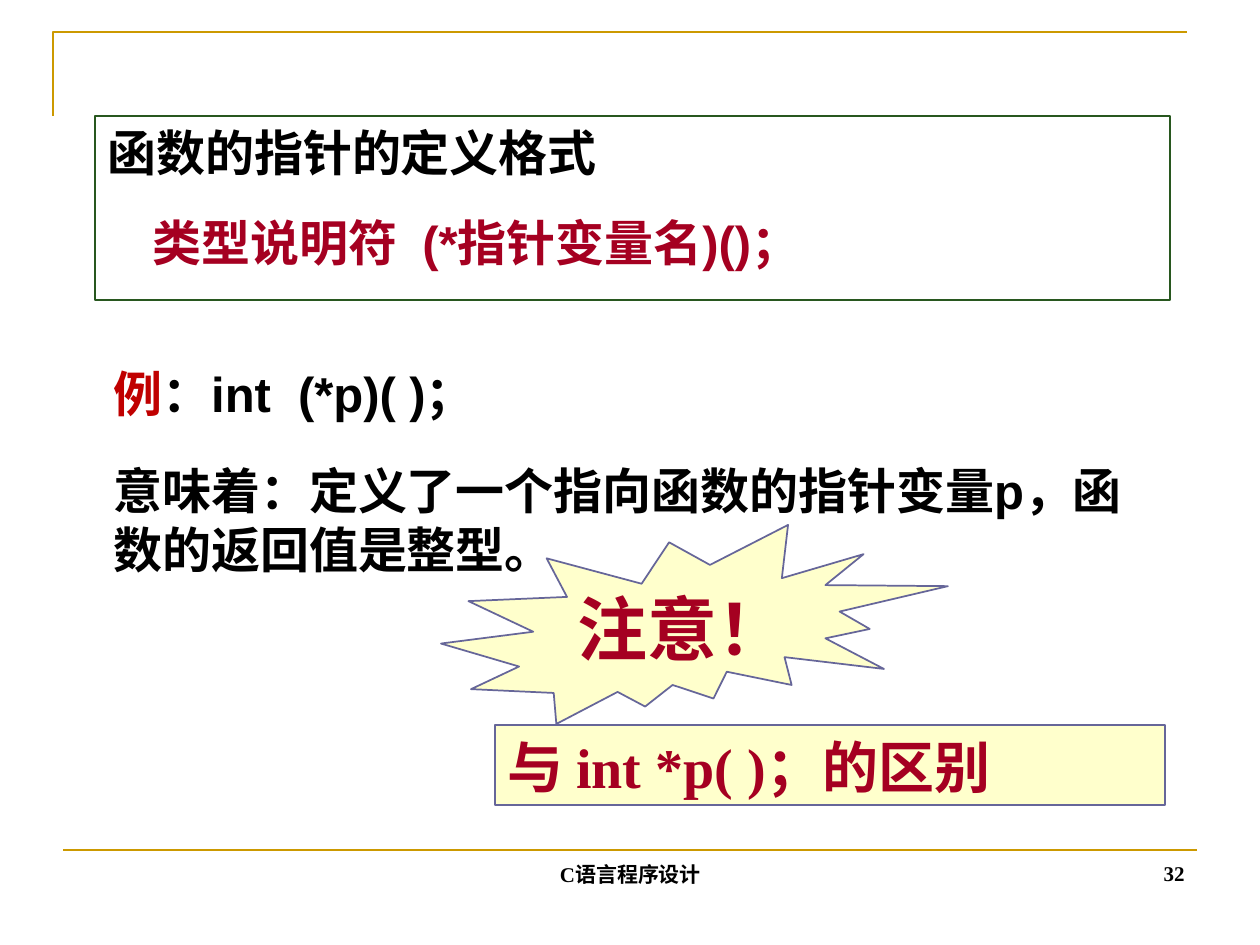
from lxml import etree
from pptx import Presentation
from pptx.dml.color import RGBColor
from pptx.enum.shapes import MSO_CONNECTOR, MSO_SHAPE
from pptx.enum.text import MSO_ANCHOR as ANCHOR, PP_ALIGN as ALIGN
from pptx.oxml.ns import qn
from pptx.util import Emu, Pt

SCALE = 914400 / 126
COLORS = {"gold": "CC9900", "green": "28571F", "slate": "666699", "cream": "FFFFCC",
          "black": "000000", "crimson": "A50021", "red": "C00000"}
SANS, CJK, SERIF = "Arial", "Noto Sans CJK SC", "Times New Roman"


def px(*lengths):
    return [Emu(round(length * SCALE)) for length in lengths]


def write(paragraph, *runs):
    """Add bold runs, each given as (text, size, font, colour)."""
    for text, size, font, color in runs:
        run = paragraph.add_run()
        run.text = text
        run.font.size, run.font.bold, run.font.name = Pt(size), True, font
        run.font.color.rgb = RGBColor.from_string(COLORS[color])
        east_asian = etree.SubElement(run._r.get_or_add_rPr(), qn("a:ea"))
        east_asian.set("typeface", CJK)


prs = Presentation()
prs.slide_width, prs.slide_height = px(1260, 945)
slide = prs.slides.add_slide(prs.slide_layouts[6])
shapes = slide.shapes

# Frame lines
corner_path = shapes.build_freeform(53, 116, scale=SCALE)
corner_path.add_line_segments([(53, 32), (1187, 32)], close=False)
corner = corner_path.convert_to_shape()
corner.shadow.inherit = False
corner.fill.background()
footer_rule = shapes.add_connector(MSO_CONNECTOR.STRAIGHT, *px(63, 850, 1197, 850))
etree.SubElement(footer_rule._element.spPr, qn("a:effectLst"))
for rule in (corner, footer_rule):
    rule.line.color.rgb = RGBColor.from_string(COLORS["gold"])
    rule.line.width = Pt(1.5)

# Definition and example
definition = shapes.add_textbox(*px(95, 116, 1075, 184))
definition.line.color.rgb = RGBColor.from_string(COLORS["green"])
definition.line.width = Pt(0.75)
example = shapes.add_textbox(*px(101, 357, 1075, 252))
for box in (definition, example):
    frame = box.text_frame
    frame.word_wrap = True
    frame.add_paragraph().space_before = Pt(17.5)
    for paragraph in frame.paragraphs:
        paragraph.line_spacing = Pt(34)

heading, syntax = definition.text_frame.paragraphs
write(heading, ("函数的指针的定义格式", 28, SANS, "black"))
syntax_props = syntax._p.get_or_add_pPr()
syntax_props.set("marL", "0")
syntax_props.set("indent", str(px(45)[0]))
tabs = etree.SubElement(syntax_props, qn("a:tabLst"))
etree.SubElement(tabs, qn("a:tab"), pos=str(px(335)[0]), algn="l")
write(syntax, ("类型说明符\t", 28, CJK, "crimson"),
      ("(*指针变量名)()", 28, SANS, "crimson"), ("；", 28, CJK, "crimson"))

declaration, meaning = example.text_frame.paragraphs
declaration.space_after = Pt(3.5)
write(declaration, ("例", 28, CJK, "red"), ("：", 28, CJK, "black"),
      ("int  (*p)( )；", 28, SANS, "black"))
write(meaning, ("意味着：定义了一个指向函数的指针变量p，函数的返回值是整型。", 28, SANS, "black"))

# Footer
for text, align, place in (("C语言程序设计", ALIGN.CENTER, (431, 830, 399, 63)),
                           ("32", ALIGN.RIGHT, (903, 829, 294, 63))):
    frame = shapes.add_textbox(*px(*place)).text_frame
    frame.word_wrap, frame.vertical_anchor = True, ANCHOR.BOTTOM
    frame.paragraphs[0].alignment = align
    write(frame.paragraphs[0], (text, 12, SERIF, "black"))

# Warning
warning = shapes.add_group_shape().shapes
burst = warning.add_shape(MSO_SHAPE.EXPLOSION2, *px(441, 525, 507, 199))
contrast = warning.add_shape(MSO_SHAPE.RECTANGLE, *px(495, 725, 670, 80))
for shape, anchor, align in ((burst, ANCHOR.MIDDLE, ALIGN.CENTER),
                             (contrast, ANCHOR.TOP, ALIGN.LEFT)):
    shape.shadow.inherit = False
    shape.fill.solid()
    shape.fill.fore_color.rgb = RGBColor.from_string(COLORS["cream"])
    shape.line.color.rgb = RGBColor.from_string(COLORS["slate"])
    shape.line.width = Pt(1)
    shape.text_frame.vertical_anchor = anchor
    shape.text_frame.paragraphs[0].alignment = align
burst.text_frame.word_wrap = False
write(burst.text_frame.paragraphs[0], (" ", 32, SERIF, "crimson"),
      ("注意！", 40, SERIF, "crimson"))
contrast.text_frame.word_wrap = True
contrast.text_frame.paragraphs[0].line_spacing = Pt(39)
write(contrast.text_frame.paragraphs[0], ("与 int *p( )；的区别", 32, SERIF, "crimson"))

prs.save("out.pptx")
